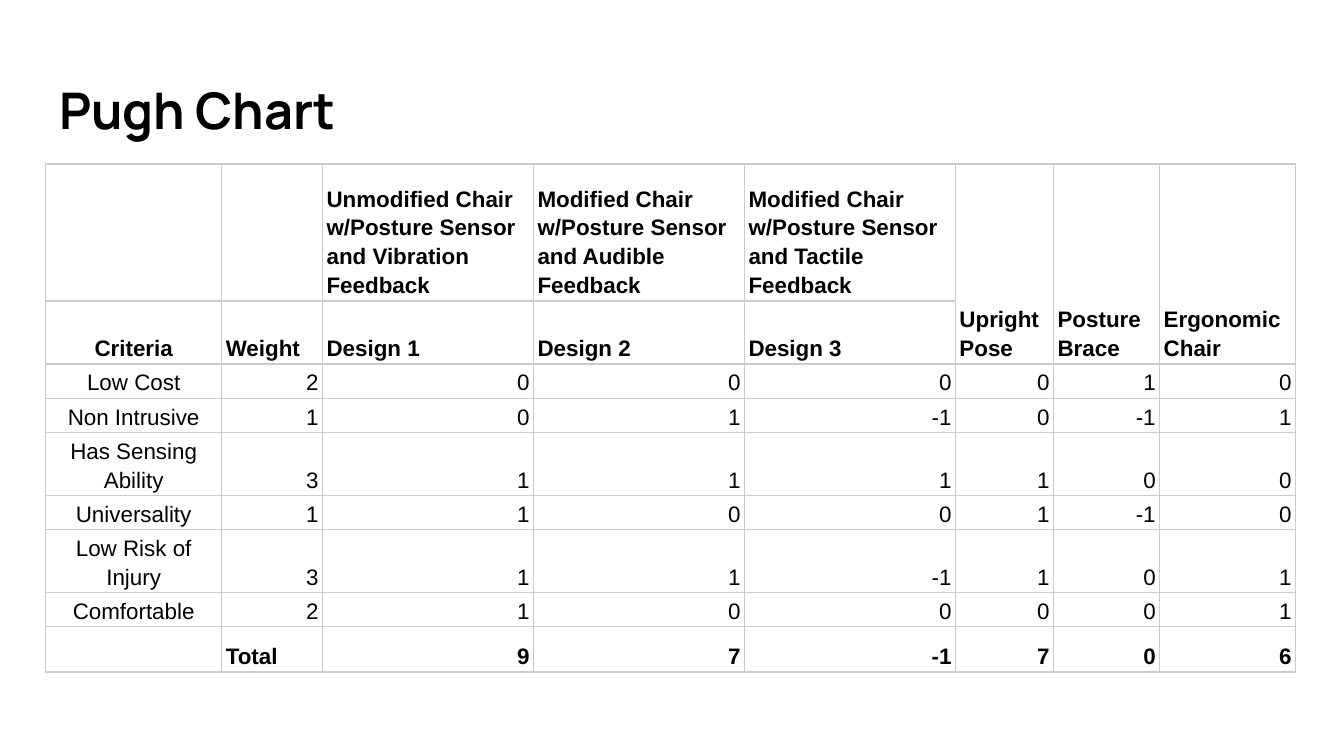
from dataclasses import dataclass

from lxml import etree
from pptx import Presentation
from pptx.dml.color import RGBColor
from pptx.enum.text import MSO_ANCHOR, MSO_AUTO_SIZE, PP_ALIGN
from pptx.oxml.ns import qn
from pptx.util import Inches, Pt

LEFT, CENTER, RIGHT = PP_ALIGN.LEFT, PP_ALIGN.CENTER, PP_ALIGN.RIGHT
TOP, BOTTOM = MSO_ANCHOR.TOP, MSO_ANCHOR.BOTTOM
NO_AUTOFIT = MSO_AUTO_SIZE.NONE
TITLE_ONLY_LAYOUT = 5


@dataclass(frozen=True)
class Theme:
    ink: str = "000000"
    rule: str = "CCCCCC"
    background: str = "FFFFFF"
    title_font: str = "Manrope"
    table_font: str = "Arial"
    title_size: float = 27
    table_size: float = 12
    empty_cell_size: float = 14
    rule_width: float = 0.75
    line_spacing: float = 1.15


@dataclass(frozen=True)
class Criterion:
    name: str
    weight: int
    scores: tuple[int, ...]


THEME = Theme()

# Slide geometry in inches, in 16:9 format
SLIDE_WIDTH = 10
SLIDE_HEIGHT = SLIDE_WIDTH * 9 / 16
MARGIN = 0.034 * SLIDE_WIDTH
TITLE_TOP, TITLE_HEIGHT = 0.49, 0.68
TABLE_TOP = 1.22
COLUMN_WIDTHS = (1.31, 0.75, 1.57, 1.57, 1.57, 0.73, 0.79, 1.01)
HEADER_HEIGHT, ROW_HEIGHT = 1.02, 0.22
CELL_INSET_X, CELL_INSET_Y = 0.03, 0.02

# Table content
DESIGNS = (
    "Unmodified Chair w/Posture Sensor and Vibration Feedback",
    "Modified Chair w/Posture Sensor and Audible Feedback",
    "Modified Chair w/Posture Sensor and Tactile Feedback",
)
ALTERNATIVES = ("Upright Pose", "Posture Brace", "Ergonomic Chair")
CRITERIA = (
    Criterion("Low Cost", 2, (0, 0, 0, 0, 1, 0)),
    Criterion("Non Intrusive", 1, (0, 1, -1, 0, -1, 1)),
    Criterion("Has Sensing Ability", 3, (1, 1, 1, 1, 0, 0)),
    Criterion("Universality", 1, (1, 0, 0, 1, -1, 0)),
    Criterion("Low Risk of Injury", 3, (1, 1, -1, 1, 0, 1)),
    Criterion("Comfortable", 2, (1, 0, 0, 0, 0, 1)),
)
TOTALS = (9, 7, -1, 7, 0, 6)
FIRST_SCORE = 2
FIRST_ALTERNATIVE = FIRST_SCORE + len(DESIGNS)


def write_text(text_frame, text: str, *, font: str = THEME.table_font,
               size: float = THEME.table_size, bold: bool = False,
               align=LEFT, spacing: float = THEME.line_spacing) -> None:
    paragraph = text_frame.paragraphs[0]
    paragraph.alignment = align
    paragraph.line_spacing = spacing
    run = paragraph.add_run()
    run.text = text
    run.font.name = font
    run.font.size = Pt(size)
    run.font.bold = bold
    run.font.color.rgb = RGBColor.from_string(THEME.ink)


def style_cell(cell) -> None:
    """Give a cell thin rules on all sides and no fill."""
    properties = cell._tc.get_or_add_tcPr()
    for side in ("a:lnL", "a:lnR", "a:lnT", "a:lnB"):
        line = etree.SubElement(properties, qn(side), w=str(Pt(THEME.rule_width)))
        fill = etree.SubElement(line, qn("a:solidFill"))
        etree.SubElement(fill, qn("a:srgbClr"), val=THEME.rule)
    cell.fill.background()


def size_empty_cell(cell) -> None:
    """Set the size of the blank line, which governs the row height."""
    paragraph = cell.text_frame.paragraphs[0]._p
    end_mark = paragraph.find(qn("a:endParaRPr"))
    if end_mark is None:
        end_mark = etree.SubElement(paragraph, qn("a:endParaRPr"))
    end_mark.set("sz", str(int(THEME.empty_cell_size * 100)))


def add_title(slide, text: str) -> None:
    title = slide.shapes.title
    title.left, title.top = Inches(MARGIN), Inches(TITLE_TOP)
    title.width = Inches(SLIDE_WIDTH - 2 * MARGIN)
    title.height = Inches(TITLE_HEIGHT)
    frame = title.text_frame
    frame.auto_size = NO_AUTOFIT
    frame.word_wrap = True
    frame.vertical_anchor = TOP
    frame.margin_left = frame.margin_right = Inches(0.1)
    frame.margin_top = frame.margin_bottom = Inches(0.1)
    write_text(frame, text, font=THEME.title_font, size=THEME.title_size,
               bold=True, spacing=1.0)


def add_pugh_table(slide) -> None:
    row_heights = (HEADER_HEIGHT,) + (ROW_HEIGHT,) * (len(CRITERIA) + 2)
    table = slide.shapes.add_table(
        len(row_heights), len(COLUMN_WIDTHS), Inches(MARGIN), Inches(TABLE_TOP),
        Inches(sum(COLUMN_WIDTHS)), Inches(sum(row_heights))).table
    table.first_row = table.horz_banding = False
    for column, width in zip(table.columns, COLUMN_WIDTHS):
        column.width = Inches(width)
    for row, height in zip(table.rows, row_heights):
        row.height = Inches(height)
    for cell in table.iter_cells():
        style_cell(cell)

    def write_row(row: int, first_column: int, values, **text_format) -> None:
        for column, value in enumerate(values, first_column):
            cell = table.cell(row, column)
            cell.margin_left = cell.margin_right = Inches(CELL_INSET_X)
            cell.margin_top = cell.margin_bottom = Inches(CELL_INSET_Y)
            cell.vertical_anchor = BOTTOM
            write_text(cell.text_frame, str(value), **text_format)

    # Headings: the alternatives span both heading rows
    for column in range(FIRST_ALTERNATIVE, len(COLUMN_WIDTHS)):
        table.cell(0, column).merge(table.cell(1, column))
    write_row(0, FIRST_SCORE, DESIGNS + ALTERNATIVES, bold=True)
    write_row(1, 0, ["Criteria"], bold=True, align=CENTER)
    design_labels = [f"Design {number}" for number in range(1, len(DESIGNS) + 1)]
    write_row(1, 1, ["Weight", *design_labels], bold=True)

    # Weighted criteria
    for row, criterion in enumerate(CRITERIA, 2):
        write_row(row, 0, [criterion.name], align=CENTER)
        write_row(row, 1, [criterion.weight, *criterion.scores], align=RIGHT)

    # Totals
    last_row = len(row_heights) - 1
    write_row(last_row, 1, ["Total"], bold=True)
    write_row(last_row, FIRST_SCORE, TOTALS, bold=True, align=RIGHT)

    for cell in table.iter_cells():
        if not cell.text_frame.text:
            size_empty_cell(cell)


def main() -> None:
    presentation = Presentation()
    presentation.slide_width = Inches(SLIDE_WIDTH)
    presentation.slide_height = Inches(SLIDE_HEIGHT)
    slide = presentation.slides.add_slide(presentation.slide_layouts[TITLE_ONLY_LAYOUT])
    slide.background.fill.solid()
    slide.background.fill.fore_color.rgb = RGBColor.from_string(THEME.background)
    add_title(slide, "Pugh Chart")
    add_pugh_table(slide)
    presentation.save("out.pptx")


if __name__ == "__main__":
    main()
